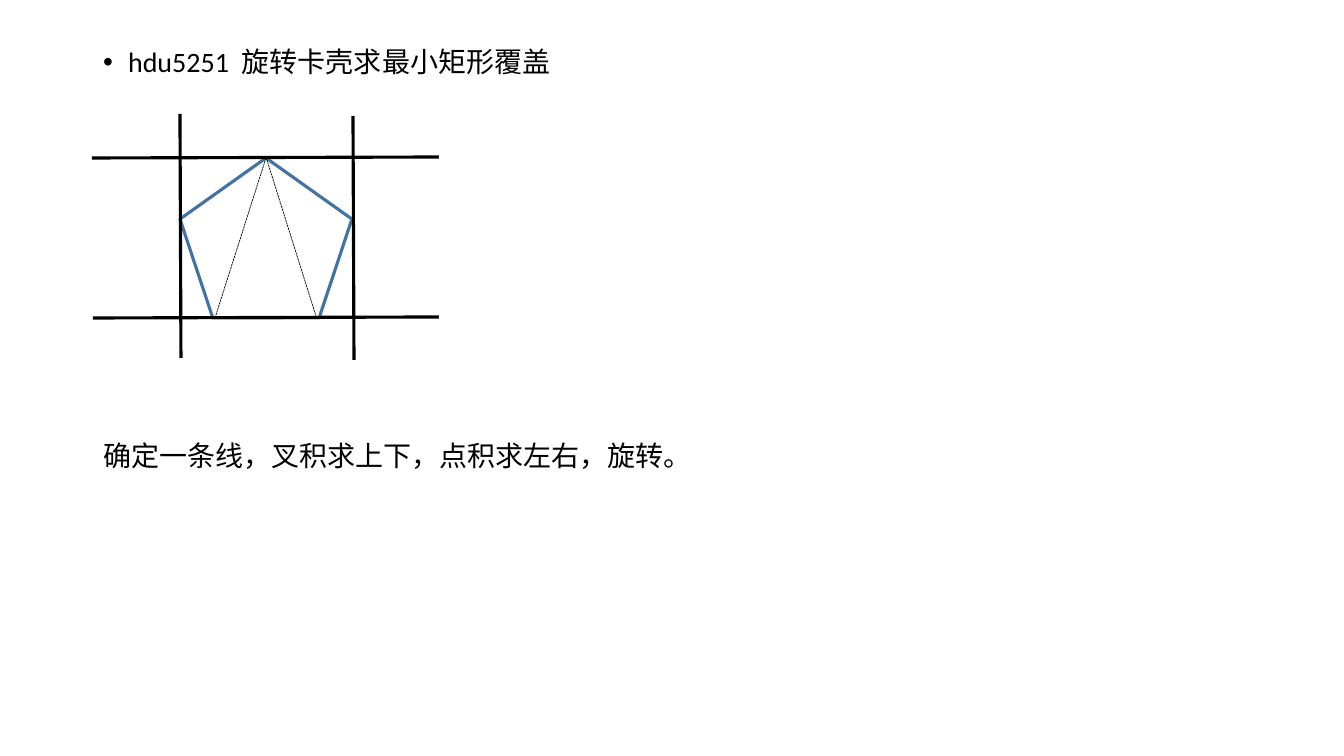
from pptx import Presentation
from pptx.dml.color import RGBColor
from pptx.enum.dml import MSO_LINE_DASH_STYLE as DASH
from pptx.enum.shapes import MSO_CONNECTOR, MSO_SHAPE
from pptx.enum.text import MSO_ANCHOR, MSO_AUTO_SIZE, PP_ALIGN
from pptx.oxml.ns import qn
from pptx.util import Pt
from lxml import etree

EMU_PER_PX = 914400 / 100.8


def px(*lengths):
    return [round(length * EMU_PER_PX) for length in lengths]


def color(value):
    return RGBColor.from_string(value)


deck = Presentation()
deck.slide_width, deck.slide_height = px(1344, 756)
page = deck.slides.add_slide(deck.slide_layouts[1])
title = page.shapes.title
title._element.getparent().remove(title._element)

# Body: a bulleted topic, then the method below the diagram
body = page.placeholders[1]
body.left, body.top, body.width, body.height = px(93, 43, 1159, 658)
frame = body.text_frame
frame.word_wrap = True
frame.auto_size = MSO_AUTO_SIZE.NONE
frame.vertical_anchor = MSO_ANCHOR.TOP
frame.text = "hdu5251  旋转卡壳求最小矩形覆盖\n确定一条线，叉积求上下，点积求左右，旋转。"
bullets = [("•", 25, 0), (None, 0, 260)]
for para, (bullet, indent, space_before) in zip(frame.paragraphs, bullets):
    properties = para._p.get_or_add_pPr()
    properties.set("marL", str(px(indent)[0]))
    properties.set("indent", str(-px(indent)[0]))
    para.alignment = PP_ALIGN.LEFT
    para.line_spacing = 0.9
    para.space_before = Pt(space_before)
    if bullet:
        font = etree.SubElement(properties, qn("a:buFont"))
        font.set("typeface", "Arial")
        etree.SubElement(properties, qn("a:buChar")).set("char", bullet)
    else:
        etree.SubElement(properties, qn("a:buNone"))
    for span in para.runs:
        span.font.size = Pt(20)
        span.font.name = "Calibri"
        span.font.color.rgb = color("000000")

# Convex polygon
pentagon = page.shapes.add_shape(MSO_SHAPE.REGULAR_PENTAGON, *px(180, 158, 172, 160))
pentagon.shadow.inherit = False
pentagon.fill.solid()
pentagon.fill.fore_color.rgb = color("FFFFFF")
pentagon.line.color.rgb = color("43739E")
pentagon.line.width = Pt(2.25)

# Covering rectangle (solid) and distances to the apex (dashed)
SOLID, DASHED = (2.25, DASH.SOLID), (0.5, DASH.SQUARE_DOT)
lines = [
    (93, 318, 439, 317, SOLID),
    (92, 158, 439, 157, SOLID),
    (266, 158, 215, 318, DASHED),
    (266, 157, 316, 316, DASHED),
    (180, 114, 181, 358, SOLID),
    (353, 116, 354, 360, SOLID),
]
for x1, y1, x2, y2, (width, dash) in lines:
    line = page.shapes.add_connector(MSO_CONNECTOR.STRAIGHT, *px(x1, y1, x2, y2))
    line.line.color.rgb = color("000000")
    line.line.width = Pt(width)
    line.line.dash_style = dash
    etree.SubElement(line._element.spPr, qn("a:effectLst"))

deck.save("out.pptx")
